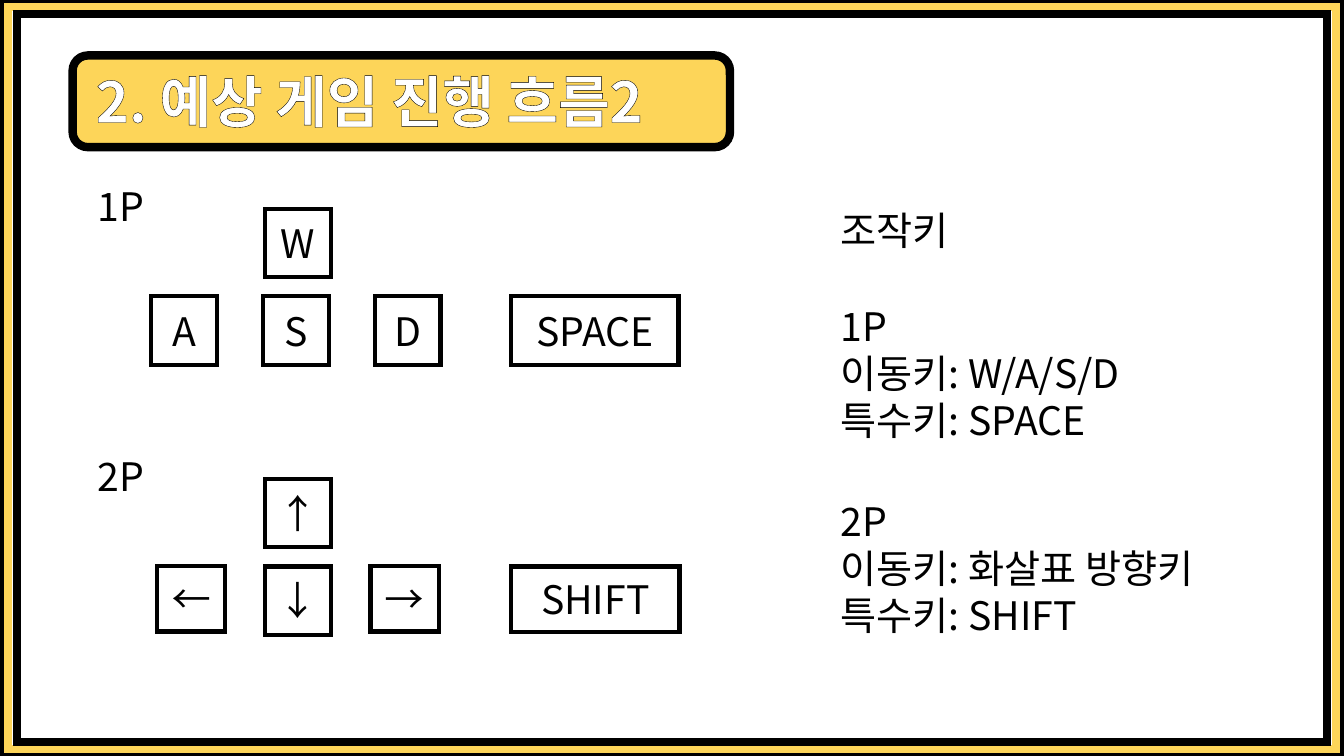
from collections import namedtuple
from dataclasses import dataclass

from lxml import etree
from pptx import Presentation
from pptx.dml.color import RGBColor
from pptx.enum.shapes import MSO_SHAPE
from pptx.enum.text import MSO_ANCHOR, MSO_AUTO_SIZE, PP_ALIGN
from pptx.oxml.ns import qn
from pptx.util import Emu, Pt

RECTANGLE, ROUNDED = MSO_SHAPE.RECTANGLE, MSO_SHAPE.ROUNDED_RECTANGLE
TOP, MIDDLE = MSO_ANCHOR.TOP, MSO_ANCHOR.MIDDLE
LEFT, CENTER = PP_ALIGN.LEFT, PP_ALIGN.CENTER
NO_RESIZE = MSO_AUTO_SIZE.NONE
TITLE_ONLY = 5
EMU_PER_PX = 9144

Box = namedtuple("Box", "left top width height")
Key = namedtuple("Key", "label left top width height rotation", defaults=(65, 68, 0))


@dataclass(frozen=True)
class Theme:
    """Colours, type sizes and line widths of the slide."""
    ink: str = "000000"
    paper: str = "FFFFFF"
    accent: str = "FDD559"
    font: str = "Noto Sans CJK KR"
    title_size: int = 40
    body_size: int = 28
    frame_line: float = 6
    key_line: float = 3
    letter_line: float = 1.5


THEME = Theme()
PAGE = Box(0, 0, 1333, 750)
PLAYER_ONE = [
    Key("W", 113, 0),
    *[Key(label, column * 111, 87) for column, label in enumerate("ASD")],
    Key("SPACE", 357, 87, 166),
]
PLAYER_TWO = [
    Key("↑", 113, 0),
    *[Key("↑", 7 + column * 106, top, rotation=turn)
      for column, (top, turn) in enumerate([(85, 270), (87, 180), (85, 90)])],
    Key("SHIFT", 357, 87, 167, 65),
]
GUIDE = [
    (200, ["조작키"]),
    (295, ["1P", "이동키: W/A/S/D", "특수키: SPACE"]),
    (488, ["2P", "이동키: 화살표 방향키", "특수키: SHIFT"]),
]


def px(length):
    """Turn a length in px into EMU."""
    return Emu(length * EMU_PER_PX)


def assign(target, values):
    """Set each attribute named in values on the target."""
    for name, value in values.items():
        setattr(target, name, value)


def place(shape, box):
    """Move and size a shape to the box."""
    assign(shape, {name: px(value) for name, value in box._asdict().items()})


def write(shape, lines, size, color, align=LEFT, anchor=TOP, bold=False):
    """Write one formatted paragraph per line into a shape."""
    frame = shape.text_frame
    assign(frame, {"word_wrap": True, "auto_size": NO_RESIZE, "vertical_anchor": anchor})
    frame.text = "\n".join(lines)
    for para in frame.paragraphs:
        para.alignment = align
        for span in para.runs:
            assign(span.font, {"name": THEME.font, "size": Pt(size), "bold": bold})
            span.font.color.rgb = RGBColor.from_string(color)
            east_asian = etree.Element(qn("a:ea"), typeface=THEME.font)
            span.font._element.find(qn("a:latin")).addnext(east_asian)


def draw(page, kind, box, line_color, line_width, fill=None):
    """Draw an outlined shape with sharp line joins."""
    shape = page.shapes.add_shape(kind, *map(px, box))
    shape.shadow.inherit = False
    if fill:
        shape.fill.solid()
        shape.fill.fore_color.rgb = RGBColor.from_string(fill)
    else:
        shape.fill.background()
    shape.line.color.rgb = RGBColor.from_string(line_color)
    shape.line.width = Pt(line_width)
    etree.SubElement(shape.line._ln, qn("a:miter"), lim="800000")
    return shape


def add_border(page, box):
    """Draw three nested frames around the box."""
    for inset_x, inset_y, color in [(0, 0, THEME.ink), (8, 7, THEME.accent), (17, 14, THEME.ink)]:
        frame = Box(box.left + inset_x, box.top + inset_y,
                    box.width - 2 * inset_x, box.height - 2 * inset_y)
        draw(page, RECTANGLE, frame, color, THEME.frame_line)


def add_heading(page, box, text):
    """Draw the heading plate and lay the outlined title over it."""
    draw(page, ROUNDED, box, THEME.ink, THEME.frame_line, THEME.accent)
    title = page.shapes.title
    place(title, Box(box.left + 13, box.top + 6, box.width, 77))
    write(title, [text], THEME.title_size, THEME.paper, bold=True)
    page.shapes.element.append(title.element)
    for span in title.text_frame.paragraphs[0].runs:
        outline = etree.Element(qn("a:ln"), w=str(Pt(THEME.letter_line)))
        fill = etree.SubElement(outline, qn("a:solidFill"))
        etree.SubElement(fill, qn("a:srgbClr"), val=THEME.ink)
        span.font._element.insert(0, outline)


def add_text(page, box, lines):
    """Add a text box of body lines."""
    write(page.shapes.add_textbox(*map(px, box)), lines, THEME.body_size, THEME.ink)


def add_controls(page, box, player, keys):
    """Draw a player's label and keys relative to the box."""
    add_text(page, Box(box.left - 63, box.top - 31, 102, 56), [player])
    for key in keys:
        key_box = Box(box.left + key.left, box.top + key.top, key.width, key.height)
        cap = draw(page, RECTANGLE, key_box, THEME.ink, THEME.key_line, THEME.paper)
        cap.rotation = key.rotation
        write(cap, [key.label], THEME.body_size, THEME.ink, CENTER, MIDDLE)


def add_guide(page, box, groups):
    """Stack the key guide's text groups down the box."""
    for top, lines in groups:
        height = 10 + 47 * len(lines)
        add_text(page, Box(box.left, box.top + top, box.width, height), lines)


def main():
    """Build the deck and save it."""
    deck = Presentation()
    assign(deck, {"slide_width": px(PAGE.width), "slide_height": px(PAGE.height)})
    page = deck.slides.add_slide(deck.slide_layouts[TITLE_ONLY])
    add_border(page, PAGE)
    add_heading(page, Box(72, 55, 652, 91), "2. 예상 게임 진행 흐름2")
    add_controls(page, Box(150, 207, 523, 155), "1P", PLAYER_ONE)
    add_controls(page, Box(150, 475, 524, 155), "2P", PLAYER_TWO)
    add_guide(page, Box(824, 0, 405, 640), GUIDE)
    deck.save("out.pptx")


if __name__ == "__main__":
    main()
